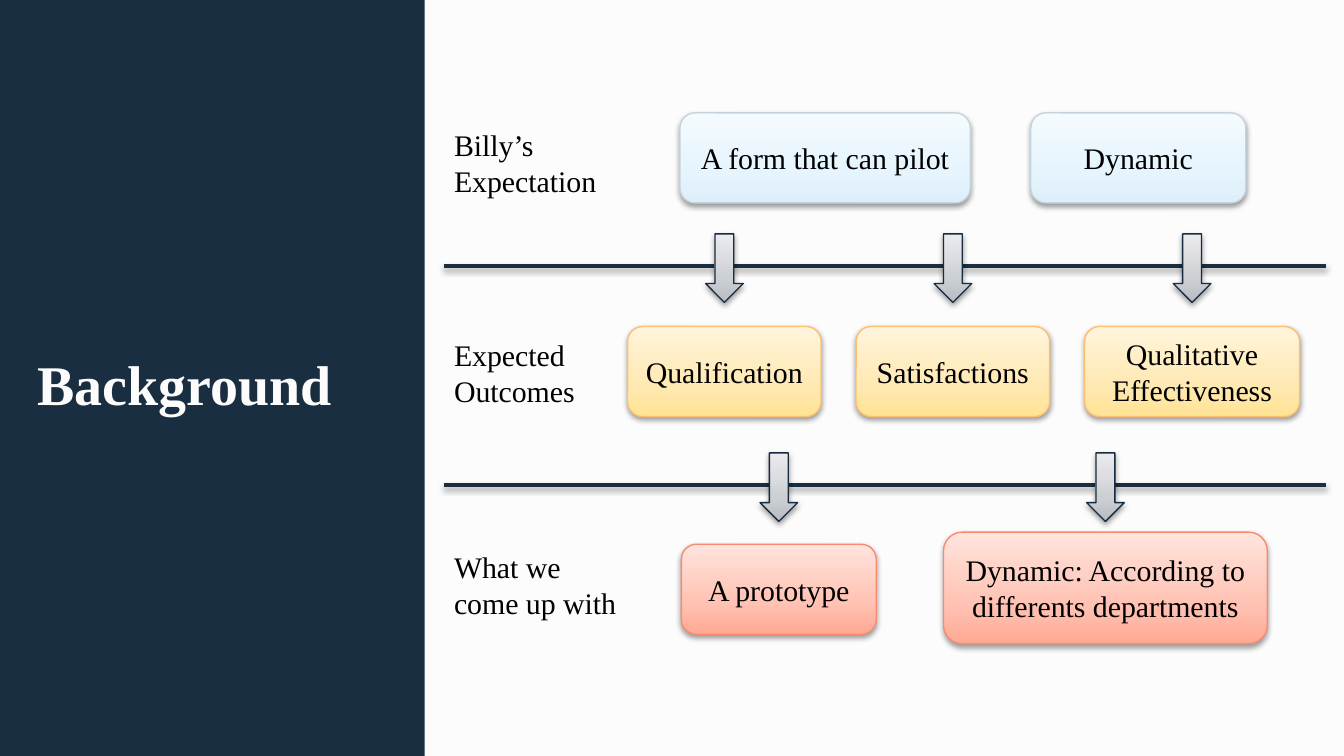
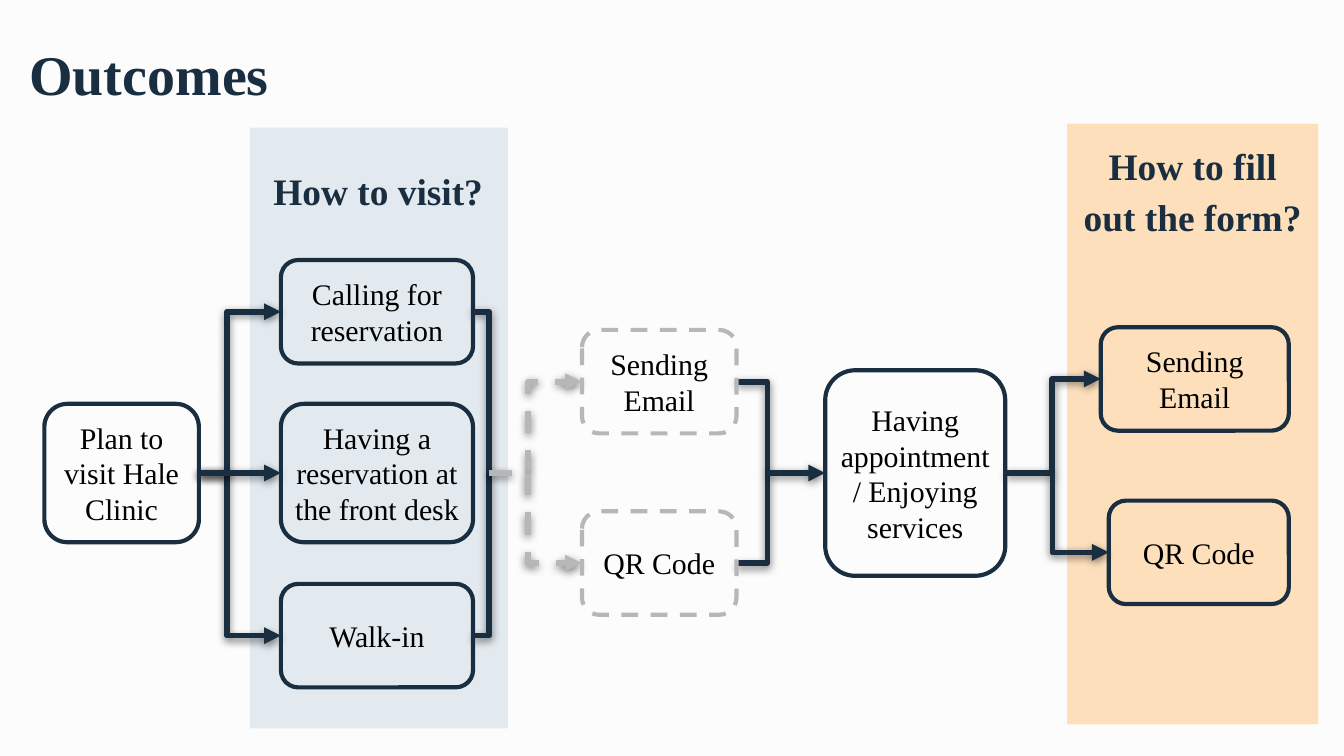
from collections import namedtuple
from copy import deepcopy

from lxml import etree
from pptx import Presentation
from pptx import util as u
from pptx.dml.color import RGBColor
from pptx.enum import dml, shapes, text
from pptx.oxml.ns import qn

# The grid has 100 columns across the slide and square cells.
COLUMNS, ROWS = 100, 56.25
CELL = u.Inches(0.1)
FONT = "Times New Roman"
COLORS = {
    "navy": "192E40", "paper": "FCFCFC", "ink": "000000", "grey": "B7B7B7",
    "mist": "CBD9E2", "peach": "FFC479",
    "blue edge": "C5D3DC", "yellow edge": "FCBF72", "red edge": "FC8A72",
    "arrow edge": "172C3E",
}
GRADIENTS = {
    "blue": ("DDEFFB", "E5F4FD", "F4FBFE"),
    "yellow": ("FFE394", "FFE9B3", "FFF5DD"),
    "red": ("FFA994", "FFC2B3", "FFE4DD"),
    "arrow": ("B8BBC1", "CDD0D3", "EBEBEF"),
}
GRADIENT_STOPS = (0, 0.35, 1)
BOX_INSETS, TITLE_INSETS, STEP_INSETS = (1, 0.5), (1, 1), (0.4, 0.3)
# Opacity in percent, blur and distance in points
SOFT_SHADOW, DEEP_SHADOW = (38, 3.1, 1.6), (50, 4.5, 1.5)


class Box(namedtuple("Box", "left top width height")):
    @property
    def center(self):
        return self.left + self.width / 2

    @property
    def middle(self):
        return self.top + self.height / 2

    @property
    def entry(self):
        return self.left, self.middle

    @property
    def exit(self):
        return self.left + self.width, self.middle


def box_around(left, middle, width, height):
    return Box(left, middle - height / 2, width, height)


def cells(*counts):
    return [round(count * CELL) for count in counts]


def color(name):
    return RGBColor.from_string(COLORS[name])


def add_xml(parent, tag, **attributes):
    values = {name: str(value) for name, value in attributes.items()}
    return etree.SubElement(parent, qn(tag), values)


def cast_shadow(shape, opacity, blur, distance):
    """Add a shadow straight below; call after the outline is set."""
    effects = add_xml(shape._element.spPr, "a:effectLst")
    shadow = add_xml(effects, "a:outerShdw", blurRad=u.Pt(blur), dist=u.Pt(distance),
                     dir=90 * 60000, algn="bl", rotWithShape=0)
    tint = add_xml(shadow, "a:srgbClr", val=COLORS["ink"])
    add_xml(tint, "a:alpha", val=opacity * 1000)


def fill_gradient(shape, name):
    shape.fill.gradient()
    shape.fill.gradient_angle = 90
    stop_list = shape._element.spPr.find(".//" + qn("a:gsLst"))
    stop_list.append(deepcopy(stop_list[-1]))
    stops = zip(shape.fill.gradient_stops, GRADIENT_STOPS, GRADIENTS[name])
    for stop, position, value in stops:
        stop.position = position
        stop.color.rgb = RGBColor.from_string(value)


def write(shape, words, size=16, ink="ink", bold=False, centered=True,
          insets=BOX_INSETS, spacing=None):
    frame = shape.text_frame
    frame.word_wrap = True
    frame.vertical_anchor = text.MSO_ANCHOR.MIDDLE
    frame.margin_left = frame.margin_right = cells(insets[0])[0]
    frame.margin_top = frame.margin_bottom = cells(insets[1])[0]
    paragraph = frame.paragraphs[0]
    paragraph.alignment = text.PP_ALIGN.CENTER if centered else text.PP_ALIGN.LEFT
    if spacing:
        paragraph.line_spacing = spacing
    run = paragraph.add_run()
    run.text = words
    run.font.name, run.font.size, run.font.bold = FONT, u.Pt(size), bold
    run.font.color.rgb = color(ink)


def add_text(slide, box, words, **style):
    write(slide.shapes.add_textbox(*cells(*box)), words, **style)


def add_heading(slide, box, words, size=30, ink="navy", centered=False):
    add_text(slide, box, words, size=size, ink=ink, bold=True, centered=centered,
             insets=TITLE_INSETS, spacing=1.15)


def add_panel(slide, box, fill, opacity=100):
    panel = slide.shapes.add_shape(shapes.MSO_SHAPE.RECTANGLE, *cells(*box))
    panel.shadow.inherit = False
    panel.fill.solid()
    panel.fill.fore_color.rgb = color(fill)
    panel.line.fill.background()
    if opacity < 100:
        tint = panel._element.spPr.find(".//" + qn("a:srgbClr"))
        add_xml(tint, "a:alpha", val=opacity * 1000)


def add_glossy(slide, kind, box, tone):
    """Add a shape with a gradient, a thin edge and a soft shadow."""
    shape = slide.shapes.add_shape(kind, *cells(*box))
    fill_gradient(shape, tone)
    shape.line.color.rgb = color(tone + " edge")
    shape.line.width = u.Pt(0.75)
    cast_shadow(shape, *SOFT_SHADOW)
    return shape


def add_step(slide, box, words, pending=False):
    """Add an outlined step of the visit; a pending one is dashed and grey."""
    step = slide.shapes.add_shape(shapes.MSO_SHAPE.ROUNDED_RECTANGLE, *cells(*box))
    step.shadow.inherit = False
    step.fill.background()
    step.line.width = u.Pt(2.25)
    step.line.color.rgb = color("grey" if pending else "navy")
    if pending:
        step.line.dash_style = dml.MSO_LINE.DASH
    write(step, words, insets=STEP_INSETS)


def add_rule(slide, row):
    rule = slide.shapes.add_connector(shapes.MSO_CONNECTOR.STRAIGHT,
                                      *cells(33, row, 98.7, row))
    rule.line.color.rgb = color("navy")
    rule.line.width = u.Pt(2)
    cast_shadow(rule, *SOFT_SHADOW)


def add_link(slide, start, end, bend, arrow=True, pending=False):
    """Join two points, turning up or down at the column named bend."""
    link = slide.shapes.add_connector(shapes.MSO_CONNECTOR.ELBOW, *cells(*start, *end))
    share = (bend - start[0]) / (end[0] - start[0])
    guides = link._element.spPr.find(".//" + qn("a:avLst"))
    add_xml(guides, "a:gd", name="adj1", fmla=f"val {round(share * 100000)}")
    link.line.color.rgb = color("grey" if pending else "navy")
    link.line.width = u.Pt(3)
    if pending:
        link.line.dash_style = dml.MSO_LINE.DASH
    if arrow:
        add_xml(link.line._get_or_add_ln(), "a:tailEnd", type="triangle")
    cast_shadow(link, *DEEP_SHADOW)


def new_slide(presentation):
    slide = presentation.slides.add_slide(presentation.slide_layouts[6])
    slide.background.fill.solid()
    slide.background.fill.fore_color.rgb = color("paper")
    return slide


def build_background(presentation):
    slide = new_slide(presentation)
    add_panel(slide, Box(0, 0, 31.6, ROWS), "navy")
    add_heading(slide, Box(1.8, 18.7, 27, 18.8), "Background", ink="paper")

    # Label, its middle row, tone, rule above, boxes
    stages = [
        ("Billy’s Expectation", 12.1, "blue", None, [
            ("A form that can pilot", Box(50.6, 8.4, 21.6, 6.7)),
            ("Dynamic", Box(76.7, 8.4, 16, 6.7))]),
        ("Expected Outcomes", 27.7, "yellow", 19.8, [
            ("Qualification", Box(46.7, 24.3, 14.4, 6.7)),
            ("Satisfactions", Box(63.7, 24.3, 14.4, 6.7)),
            ("Qualitative Effectiveness", Box(80.7, 24.3, 16, 6.7))]),
        ("What we come up with", 43.5, "red", 36.1, [
            ("A prototype", Box(50.7, 40.5, 14.5, 6.7)),
            ("Dynamic: According to differents departments",
             Box(70.2, 39.6, 24.1, 8.3))]),
    ]
    for label, middle, tone, rule, boxes in stages:
        add_text(slide, box_around(32.8, middle, 14.5, 6.4), label, centered=False)
        if rule:
            add_rule(slide, rule)
        for words, box in boxes:
            shape = add_glossy(slide, shapes.MSO_SHAPE.ROUNDED_RECTANGLE, box, tone)
            write(shape, words)
            if rule:
                arrow = Box(box.center - 1.4, rule - 2.4, 2.8, 5.1)
                add_glossy(slide, shapes.MSO_SHAPE.DOWN_ARROW, arrow, "arrow")


def build_outcomes(presentation):
    slide = new_slide(presentation)
    add_panel(slide, Box(18.6, 9.5, 19.2, 44.7), "mist", opacity=49)
    add_panel(slide, Box(79.4, 9.2, 18.7, 44.7), "peach", opacity=49)
    add_heading(slide, Box(1.2, 0.7, 46.1, 8.8), "Outcomes")
    for left, words in ((19, "How to visit?"), (79.6, "How to fill out the form?")):
        add_heading(slide, Box(left, 12, 18.3, 3.9), words, size=20, centered=True)

    plan = box_around(3.3, 35.2, 11.5, 10.3)
    calling = box_around(20.9, 23.2, 14.3, 7.7)
    desk = box_around(20.9, 35.2, 14.3, 10.3)
    walk_in = box_around(20.9, 47.3, 14.3, 7.7)
    early_email = box_around(43.3, 28.4, 11.5, 7.7)
    early_code = box_around(43.3, 41.9, 11.5, 7.7)
    service = box_around(61.4, 35.2, 13.4, 15.3)
    email = box_around(81.9, 28.2, 14, 7.7)
    code = box_around(82.5, 41.1, 13.4, 7.7)

    # Columns where the links turn
    fork, gather, early_fork, early_gather, form_fork = 16.9, 36.4, 39.3, 57.1, 78.3
    axis = service.middle
    for visit in (walk_in, calling, desk):
        add_link(slide, plan.exit, visit.entry, fork)
    for visit in (walk_in, calling):
        add_link(slide, visit.exit, (gather, axis), gather, arrow=False)
    add_link(slide, (gather, axis), early_email.entry, early_fork, pending=True)
    add_link(slide, (early_fork, axis), early_code.entry, early_fork, pending=True)
    for request in (early_email, early_code):
        add_link(slide, request.exit, (early_gather, axis), early_gather, arrow=False)
    add_link(slide, (early_gather, axis), service.entry, early_gather + 2)
    add_link(slide, service.exit, email.entry, form_fork)
    add_link(slide, (form_fork, axis), code.entry, form_fork)

    add_step(slide, plan, "Plan to visit Hale Clinic")
    add_step(slide, calling, "Calling for reservation")
    add_step(slide, desk, "Having a reservation at the front desk")
    add_step(slide, walk_in, "Walk-in")
    add_step(slide, service, "Having appointment / Enjoying services")
    for box, pending in ((early_email, True), (email, False)):
        add_step(slide, box, "Sending Email", pending)
    for box, pending in ((early_code, True), (code, False)):
        add_step(slide, box, "QR Code", pending)


def main():
    presentation = Presentation()
    presentation.slide_width, presentation.slide_height = cells(COLUMNS, ROWS)
    build_background(presentation)
    build_outcomes(presentation)
    presentation.save("out.pptx")


if __name__ == "__main__":
    main()
